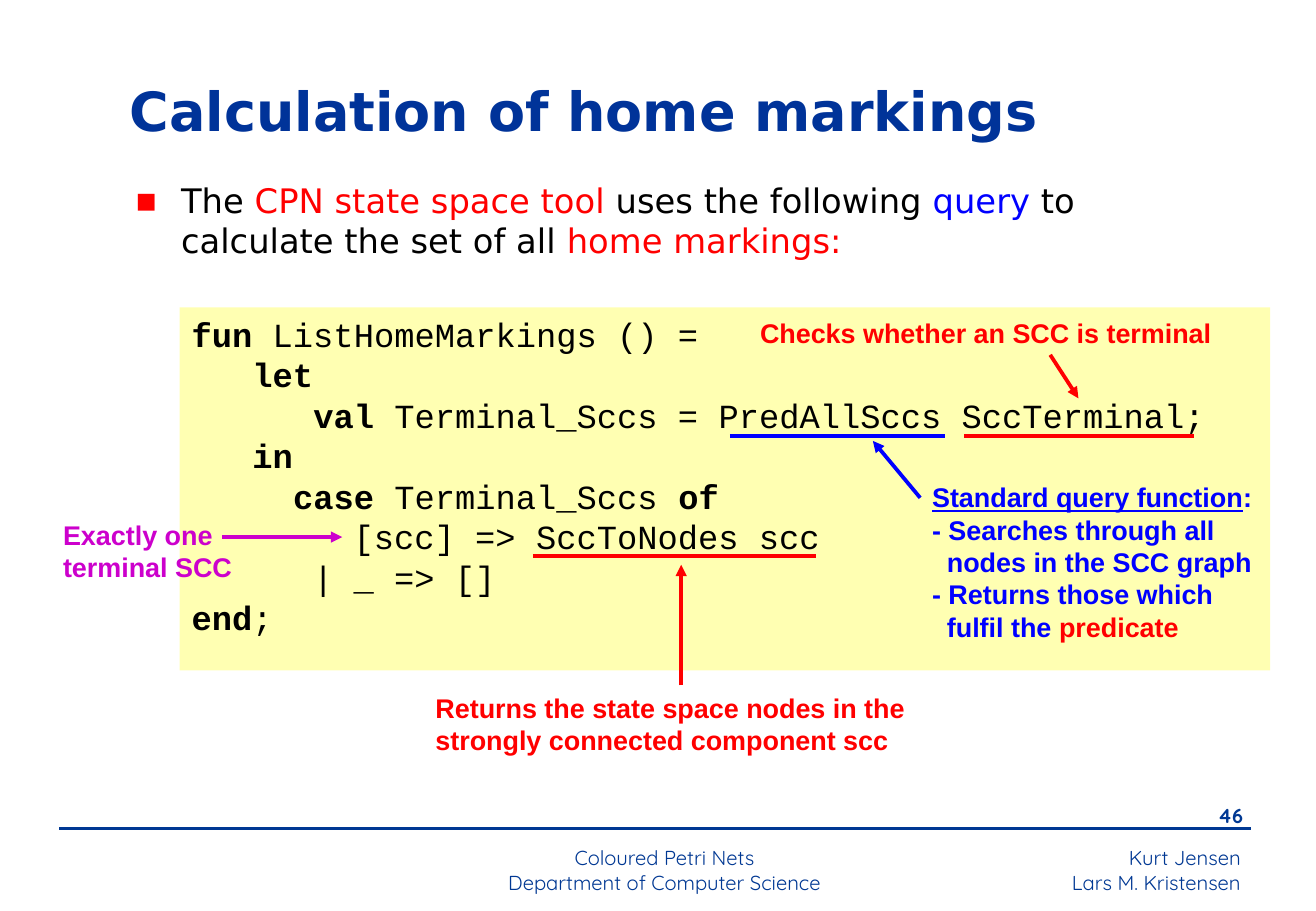
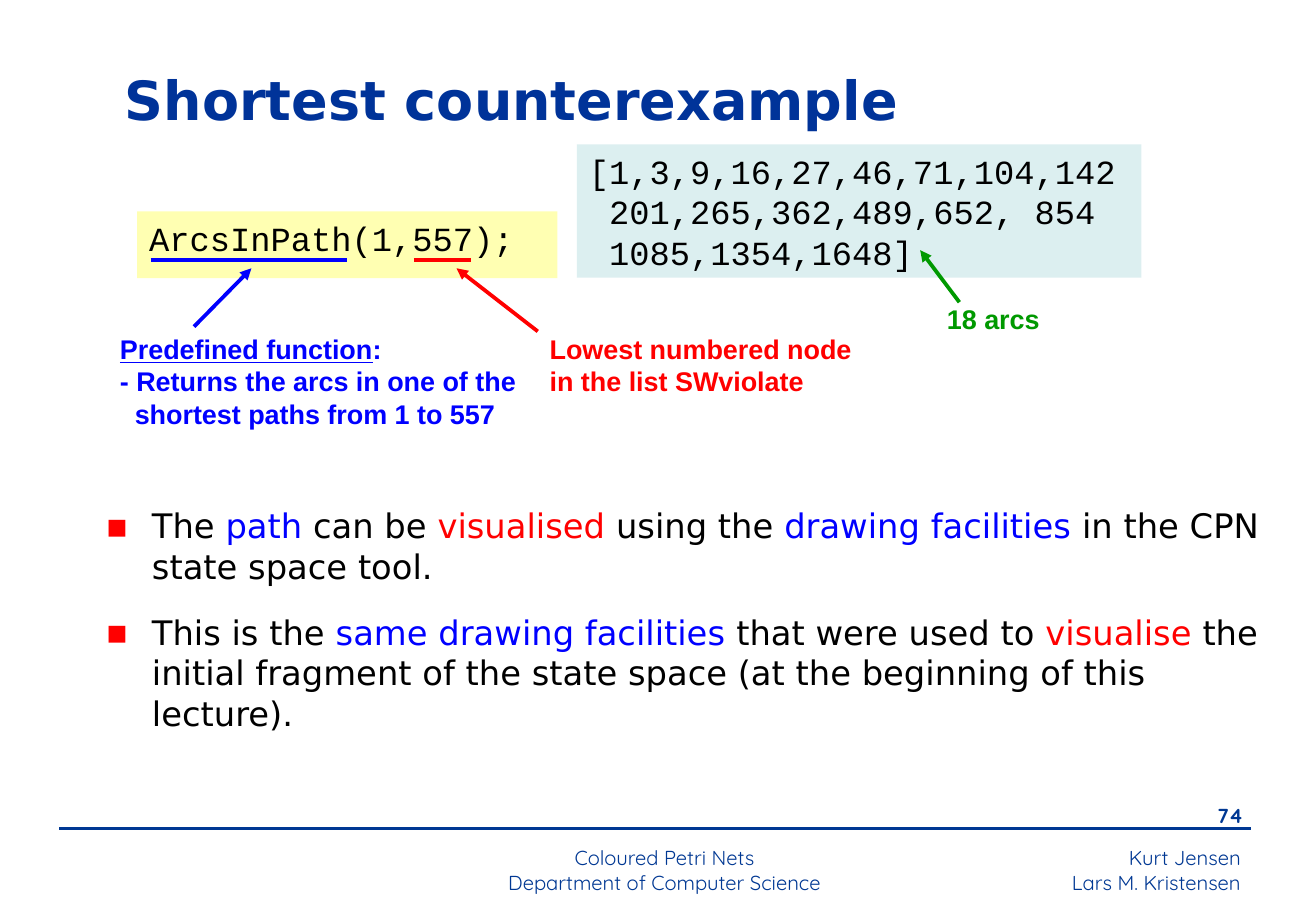
"""Build two lecture slides on state space queries."""
from dataclasses import dataclass, replace

import lxml.etree
import pptx
import pptx.dml.color
import pptx.enum.shapes
import pptx.enum.text
import pptx.oxml.ns
import pptx.util

Cm = pptx.util.Cm
Pt = pptx.util.Pt
qn = pptx.oxml.ns.qn
Align = pptx.enum.text.PP_ALIGN
Anchor = pptx.enum.text.MSO_ANCHOR


@dataclass(frozen=True)
class Style:
    font: str
    size: float
    color: str
    bold: bool = False
    lead: float = 1.2
    align: Align = Align.LEFT


@dataclass(frozen=True)
class Theme:
    black: str = "000000"
    red: str = "FF0000"
    blue: str = "0000FF"
    green: str = "009900"
    pink: str = "CC00CC"
    navy: str = "003893"
    yellow: str = "FFFF66"
    aqua: str = "BBE0E3"
    alpha: int = 50
    thin: float = 1.5
    thick: float = 2.25
    title: Style = Style("DejaVu Sans", 32, "003399", True)
    body: Style = Style("DejaVu Sans", 20, "000000")
    code: Style = Style("Courier New", 20, "000000")
    note: Style = Style("Arial", 16, "000000", True)
    foot: Style = Style("Quicksand", 12, "003893", lead=1.25)


T = Theme()


@dataclass(frozen=True)
class Box:
    left: float
    top: float
    width: float
    height: float

    def place(self) -> list:
        return [Cm(n) for n in (self.left, self.top, self.width, self.height)]


@dataclass(frozen=True)
class Run:
    text: str
    color: str | None = None
    bold: bool | None = None
    under: bool = False


@dataclass(frozen=True)
class Para:
    runs: tuple
    hang: float = 0
    bullet: bool = False
    before: float = 0


@dataclass(frozen=True)
class Block:
    box: Box
    style: Style
    paras: tuple
    fill: str | None = None


@dataclass(frozen=True)
class Line:
    x1: float
    y1: float
    x2: float
    y2: float
    color: str
    arrow: bool = False
    width: float = T.thick


@dataclass(frozen=True)
class Page:
    title: str
    box: Box
    number: int
    items: tuple


def para(*runs: Run | str, **more) -> Para:
    """Make a paragraph from runs and plain strings."""
    return Para(tuple(Run(r) if isinstance(r, str) else r for r in runs), **more)


def red(text: str) -> Run:
    """Make a red run."""
    return Run(text, T.red)


def blue(text: str) -> Run:
    """Make a blue run."""
    return Run(text, T.blue)


def key(text: str) -> Run:
    """Make a bold keyword run."""
    return Run(text, bold=True)


def head(text: str) -> Para:
    """Make an underlined heading that ends in a colon."""
    return para(Run(text, under=True), ":")


def dash(*runs: Run | str) -> Para:
    """Make a note item with a hanging indent."""
    return para(*runs, hang=0.31)


def point(*runs: Run | str, before: float = 0) -> Para:
    """Make a bulleted body paragraph."""
    return para(*runs, hang=0.97, bullet=True, before=before)


def note(box: Box, color: str, *paras: Para) -> Block:
    """Make a coloured note."""
    return Block(box, replace(T.note, color=color), paras)


def code(box: Box, fill: str, *paras: Para) -> Block:
    """Make a code panel."""
    return Block(box, T.code, paras, fill)


def apply(thing: object, values: dict) -> None:
    """Set each format value on an object."""
    for name, value in values.items():
        setattr(thing, name, value)


def rgb(color: str) -> pptx.dml.color.RGBColor:
    """Turn a hex string into a colour."""
    return pptx.dml.color.RGBColor.from_string(color)


def child(node, tag: str, **attrs: str):
    """Append an XML child."""
    return lxml.etree.SubElement(node, qn(tag), attrs)


def write(frame, style: Style, paras: tuple, anchor: Anchor = Anchor.TOP) -> None:
    """Write styled paragraphs into a text frame."""
    apply(frame, {"word_wrap": True, "vertical_anchor": anchor,
                  "auto_size": pptx.enum.text.MSO_AUTO_SIZE.NONE})
    for i, item in enumerate(paras):
        p = frame.paragraphs[0] if i == 0 else frame.add_paragraph()
        props = p._p.get_or_add_pPr()
        if item.hang:
            props.set("marL", str(Cm(item.hang)))
            props.set("indent", str(-Cm(item.hang)))
        if item.bullet:
            child(child(props, "a:buClr"), "a:srgbClr", val=T.red)
            child(props, "a:buFont", typeface=style.font)
            child(props, "a:buChar", char="▪")
        apply(p, {"alignment": style.align, "space_before": Pt(item.before),
                  "line_spacing": Pt(style.size * style.lead)})
        for part in item.runs:
            run = p.add_run()
            run.text = part.text
            bold = style.bold if part.bold is None else part.bold
            apply(run.font, {"name": style.font, "size": Pt(style.size),
                             "bold": bold, "underline": part.under})
            run.font.color.rgb = rgb(part.color or style.color)


def draw_block(slide, block: Block) -> None:
    """Draw a text box or a filled panel."""
    if block.fill:
        kind = pptx.enum.shapes.MSO_SHAPE.RECTANGLE
        shape = slide.shapes.add_shape(kind, *block.box.place())
        shape.shadow.inherit = False
        shape.fill.solid()
        shape.fill.fore_color.rgb = rgb(block.fill)
        tint = shape._element.spPr.find(".//" + qn("a:srgbClr"))
        child(tint, "a:alpha", val=str(T.alpha * 1000))
        shape.line.fill.background()
    else:
        shape = slide.shapes.add_textbox(*block.box.place())
    write(shape.text_frame, block.style, block.paras)


def draw_line(slide, line: Line) -> None:
    """Draw a straight line or arrow."""
    ends = [Cm(n) for n in (line.x1, line.y1, line.x2, line.y2)]
    kind = pptx.enum.shapes.MSO_CONNECTOR.STRAIGHT
    shape = slide.shapes.add_connector(kind, *ends)
    shape.line.width = Pt(line.width)
    shape.line.color.rgb = rgb(line.color)
    props = shape._element.spPr
    if line.arrow:
        child(props.find(qn("a:ln")), "a:tailEnd", type="triangle")
    child(props, "a:effectLst")


def frame_items(number: int) -> tuple:
    """List the footer parts of a page."""
    right = replace(T.foot, align=Align.RIGHT)
    mid = replace(T.foot, align=Align.CENTER)
    return (
        Block(Box(17.65, 17.53, 8.56, 1.27), right,
              (para("Kurt Jensen"), para("Lars M. Kristensen"))),
        Block(Box(24.46, 16.66, 1.8, 0.84), replace(right, bold=True),
              (para(str(number)),)),
        Line(1.24, 17.32, 26.16, 17.32, T.navy, width=T.thin),
        Block(Box(8.66, 17.53, 10.49, 1.19), mid,
              (para("Coloured Petri Nets"), para("Department of Computer Science"))),
    )


def draw_page(deck, page: Page) -> None:
    """Add one slide with its title, footer and items."""
    slide = deck.slides.add_slide(deck.slide_layouts[5])
    title = slide.shapes.title
    apply(title, dict(zip(("left", "top", "width", "height"), page.box.place())))
    write(title.text_frame, T.title, (para(page.title),), Anchor.MIDDLE)
    for item in frame_items(page.number) + page.items:
        draw = draw_line if isinstance(item, Line) else draw_block
        draw(slide, item)


HOME = Page("Calculation of home markings", Box(2.46, 1.42, 20.7, 1.75), 46, (
    code(Box(3.76, 6.43, 22.81, 7.59), T.yellow,
         para(key("fun"), " ListHomeMarkings () ="),
         para("   ", key("let")),
         para("      ", key("val"), " Terminal_Sccs = PredAllSccs SccTerminal;"),
         para("   ", key("in")),
         para("     ", key("case"), " Terminal_Sccs ", key("of")),
         para("        [scc] => SccToNodes scc"),
         para("      | _ => []"),
         para(key("end"), ";")),
    Line(15.27, 9.12, 19.76, 9.12, T.blue),
    Line(19.25, 10.41, 18.26, 9.22, T.blue, True),
    note(Box(8.86, 14.33, 11, 1.63), T.red,
         para("Returns the state space nodes in the strongly connected component scc")),
    Line(14.25, 14.33, 14.25, 11.81, T.red, True),
    Line(11.15, 11.63, 17.07, 11.63, T.red),
    Block(Box(2.57, 3.63, 23.32, 2.01), T.body, (
        point("The ", red("CPN state space tool"), " uses the following", blue(" query"),
              " to calculate the set of all ", red("home markings:")),)),
    note(Box(19.25, 9.93, 7.29, 3.66), T.blue,
         head("Standard query function"),
         dash("- Searches through all nodes in the SCC graph"),
         dash("- Returns those which fulfil the ", red("predicate"))),
    Line(21.97, 7.42, 22.56, 8.33, T.red, True),
    Line(20.17, 9.12, 24.97, 9.12, T.red),
    note(Box(15.65, 6.5, 10.11, 0.94), T.red, para("Checks whether an SCC is terminal")),
    Line(4.65, 11.23, 7.16, 11.23, T.pink, True),
    note(Box(1.07, 10.72, 4.3, 1.63), T.pink, para("Exactly one terminal SCC")),
))

SHORT = Page("Shortest counterexample", Box(2.36, 1.12, 18.11, 1.9), 74, (
    code(Box(2.87, 4.42, 8.79, 1.4), T.yellow, para("ArcsInPath(1,557);")),
    Line(4.06, 6.83, 5.26, 5.61, T.blue, True),
    note(Box(2.26, 6.83, 8.89, 2.29), T.blue,
         head("Predefined function"),
         dash("- Returns the arcs in one of the shortest paths from 1 to 557")),
    Line(3.15, 5.44, 7.26, 5.44, T.blue),
    Block(Box(1.96, 10.44, 24.99, 5.38), T.body, (
        point("The ", blue("path"), " can be ", red("visualised"), " using the ",
              blue("drawing facilities"), " in the CPN state space tool."),
        point("This is the ", blue("same drawing facilities"), " that were used to ",
              red("visualise"), " the initial fragment of the state space "
              "(at the beginning of this lecture).", before=15))),
    code(Box(12.07, 3.02, 11.81, 2.79), T.aqua,
         para("[1,3,9,16,27,46,71,104,142"),
         para(" 201,265,362,489,652, 854"),
         para(" 1085,1354,1648]")),
    Line(20.07, 6.32, 19.25, 5.23, T.green, True),
    note(Box(19.56, 6.2, 2.59, 0.94), T.green, para("18 arcs")),
    Line(11.25, 6.93, 9.55, 5.61, T.red, True),
    note(Box(11.25, 6.83, 7.11, 1.63), T.red,
         para("Lowest numbered node in the list SWviolate")),
    Line(8.66, 5.44, 9.86, 5.44, T.red),
))


def main() -> None:
    """Build and save the deck."""
    deck = pptx.Presentation()
    apply(deck, {"slide_width": Cm(27.53), "slide_height": Cm(19.05)})
    for page in (HOME, SHORT):
        draw_page(deck, page)
    deck.save("out.pptx")


if __name__ == "__main__":
    main()
